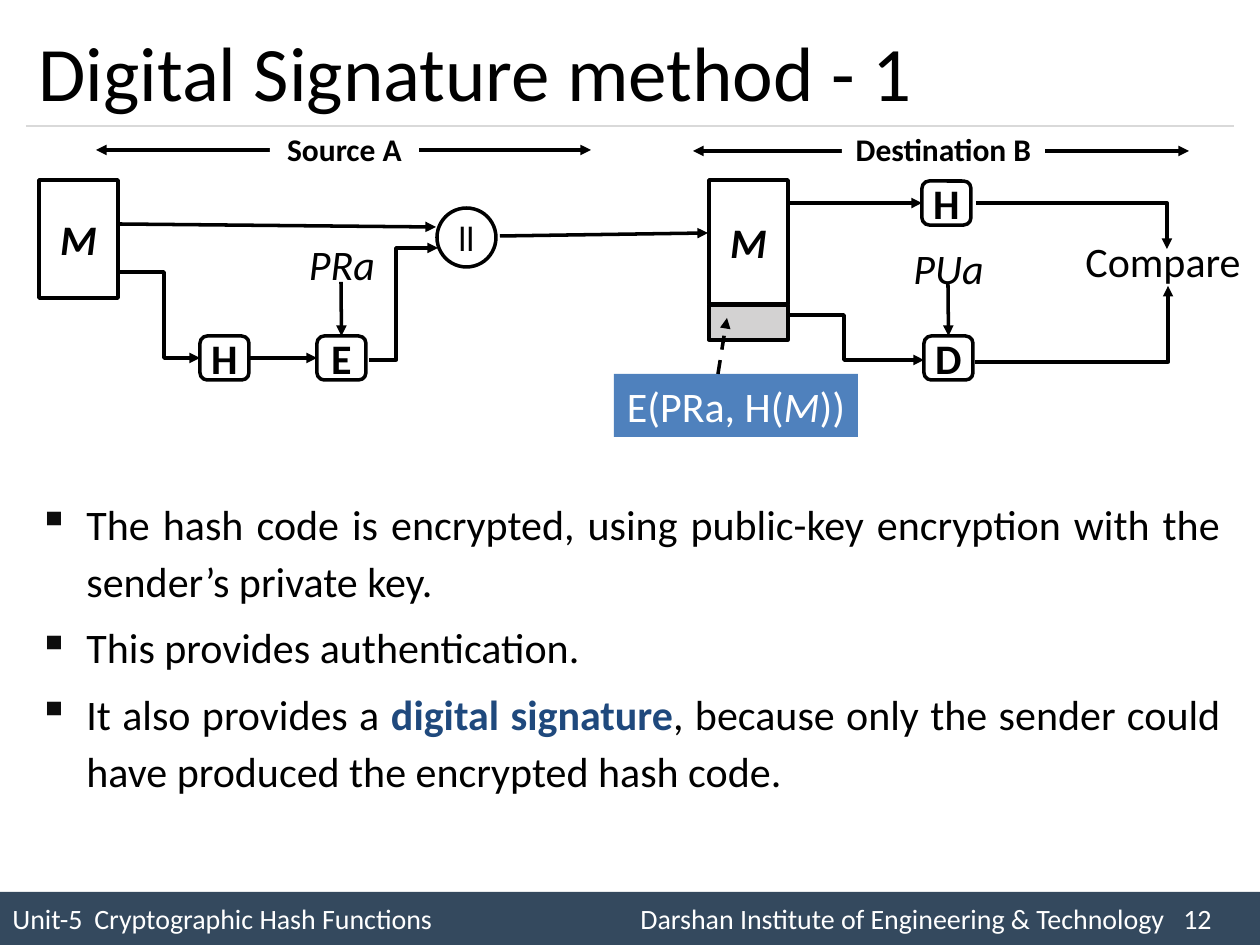
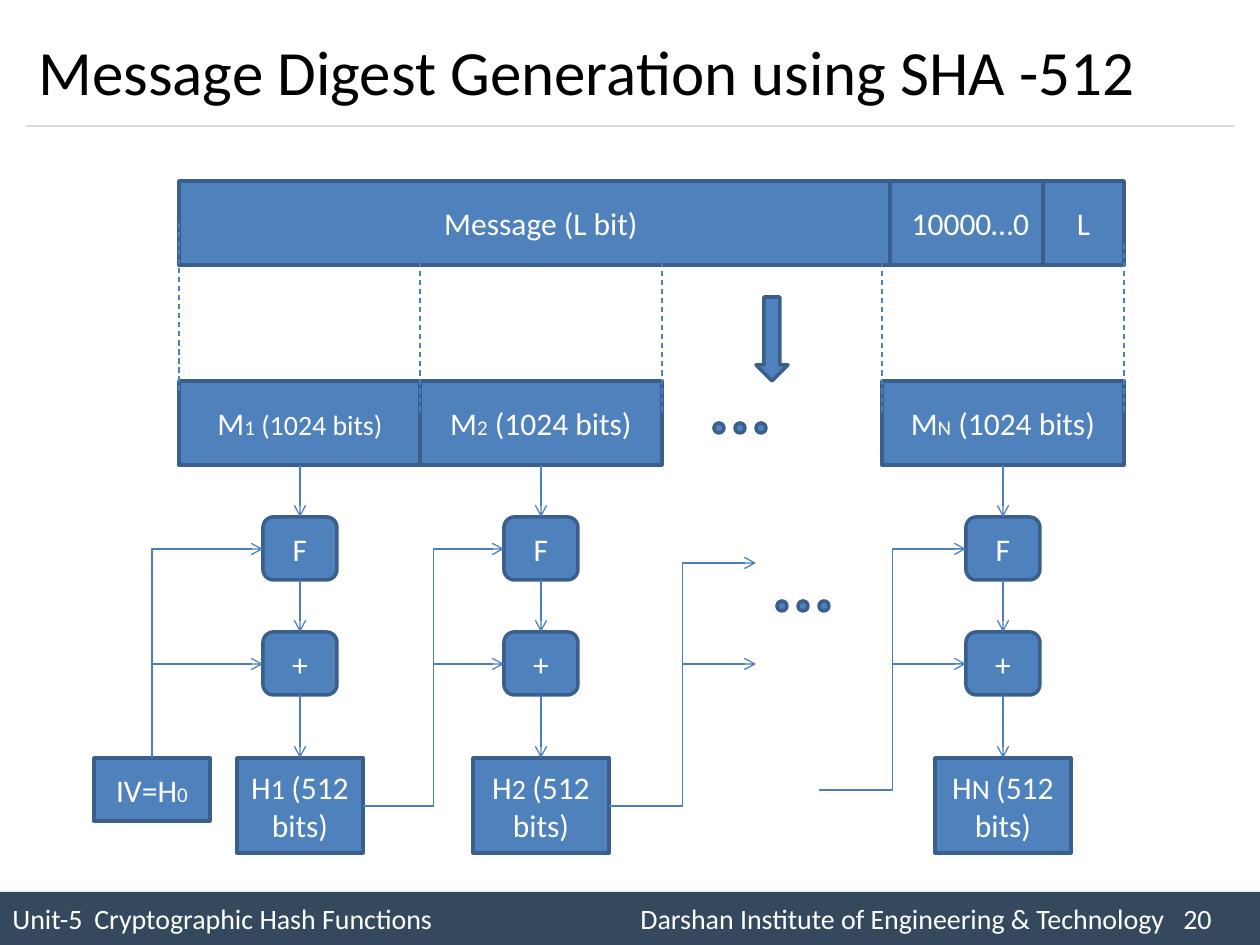
import pptx
import pptx.dml.color
import pptx.enum.dml
import pptx.enum.shapes
import pptx.enum.text
import pptx.oxml.ns
import pptx.util
from lxml import etree

RGB = pptx.dml.color.RGBColor
BLACK = RGB(0x00, 0x00, 0x00)
WHITE = RGB(0xFF, 0xFF, 0xFF)
GREY = RGB(0xD3, 0xD2, 0xD2)
RULE = RGB(0xD9, 0xD9, 0xD9)
BAND = RGB(0x34, 0x49, 0x5E)
BLUE = RGB(0x4F, 0x81, 0xBD)
BLUE_EDGE = RGB(0x3A, 0x5F, 0x8C)
BLUE_LINK = RGB(0x4B, 0x7E, 0xBC)
NAVY = RGB(0x1F, 0x49, 0x7D)

PX = 914400 / 126
FONT = "Calibri"
SHAPE = pptx.enum.shapes.MSO_SHAPE
CONNECTOR = pptx.enum.shapes.MSO_CONNECTOR
ALIGN = pptx.enum.text.PP_ALIGN
ANCHOR = pptx.enum.text.MSO_ANCHOR
qn = pptx.oxml.ns.qn


def box(slide, preset, place, runs=(), fill=None, edge=None, color=BLACK,
        align=ALIGN.CENTER, anchor=ANCHOR.MIDDLE, wrap=False):
    """Add a shape, or a text box if preset is None; runs are (text, size, style)."""
    emu = [round(n * PX) for n in place]
    if preset is None:
        shape = slide.shapes.add_textbox(*emu)
    else:
        shape = slide.shapes.add_shape(preset, *emu)
        shape.shadow.inherit = False
        shape.fill.solid()
        shape.fill.fore_color.rgb = fill
        if edge is None:
            shape.line.fill.background()
        else:
            shape.line.color.rgb = edge
            shape.line.width = pptx.util.Pt(2)
    frame = shape.text_frame
    frame.word_wrap = wrap
    frame.vertical_anchor = anchor
    frame.paragraphs[0].alignment = align
    for text, size, style in runs:
        run = frame.paragraphs[0].add_run()
        run.text = text
        run.font.name = FONT
        run.font.size = pptx.util.Pt(size)
        run.font.bold = "b" in style
        run.font.italic = "i" in style
        run.font.color.rgb = color
    return shape


def link(slide, points, color=BLACK, width=2, head=None, tail="triangle",
         dashed=False, kind=CONNECTOR.STRAIGHT, start=None, end=None):
    """Draw a connector through two points or an open path through more."""
    emu = [(round(x * PX), round(y * PX)) for x, y in points]
    if len(emu) == 2:
        line = slide.shapes.add_connector(kind, *emu[0], *emu[1])
        if start:
            line.begin_connect(*start)
        if end:
            line.end_connect(*end)
    else:
        outline = slide.shapes.build_freeform(*emu[0], scale=1.0)
        outline.add_line_segments(emu[1:], close=False)
        line = outline.convert_to_shape()
        line.fill.background()
    line.line.color.rgb = color
    line.line.width = pptx.util.Pt(width)
    if dashed:
        line.line.dash_style = pptx.enum.dml.MSO_LINE.DASH
    properties = line._element.spPr
    for tag, arrow in (("a:headEnd", head), ("a:tailEnd", tail)):
        if arrow:
            etree.SubElement(properties.find(qn("a:ln")), qn(tag), type=arrow)
    etree.SubElement(properties, qn("a:effectLst"))
    return line


deck = pptx.Presentation()
deck.slide_width = pptx.util.Inches(10)
deck.slide_height = pptx.util.Inches(7.5)

# Shared footer band, title and rule
slides = []
for title, title_size, number in (
        ("Digital Signature method - 1", 44, 12),
        ("Message Digest Generation using SHA -512", 36, 20)):
    slide = deck.slides.add_slide(deck.slide_layouts[6])
    slides.append(slide)
    footer_text = ("Unit-5\tCryptographic Hash Functions\t"
                   f"Darshan Institute of Engineering & Technology\t{number}")
    footer = box(slide, SHAPE.RECTANGLE, (0, 892, 1260, 53), [(footer_text, 16, "")],
                 BAND, color=WHITE, align=ALIGN.LEFT)
    tabs = etree.SubElement(footer.text_frame.paragraphs[0]._p.get_or_add_pPr(),
                            qn("a:tabLst"))
    for stop in (82, 628, 1171):
        etree.SubElement(tabs, qn("a:tab"), pos=str(round(stop * PX)), algn="l")
    link(slide, [(26, 126), (1234, 126)], RULE, 0.75, tail=None)
    box(slide, None, (26, 15, 1207, 111), [(title, title_size, "")],
        align=ALIGN.LEFT, wrap=True)
signature, digest = slides

# Slide 1: explanation
body = box(signature, None, (26, 485, 1207, 349), anchor=ANCHOR.TOP, wrap=True)
points = (
    [("The hash code is encrypted, using public-key encryption with the "
      "sender’s private key.", False)],
    [("This provides authentication.", False)],
    [("It also provides a ", False), ("digital signature", True),
     (", because only the sender could have produced the encrypted hash code.", False)],
)
for index, pieces in enumerate(points):
    paragraph = body.text_frame.add_paragraph() if index else body.text_frame.paragraphs[0]
    paragraph.alignment = ALIGN.JUSTIFY
    paragraph.line_spacing = 1.14
    if index:
        paragraph.space_before = pptx.util.Pt(5)
    layout = paragraph._p.get_or_add_pPr()
    layout.set("marL", str(round(48 * PX)))
    layout.set("indent", str(round(-48 * PX)))
    bullet_color = etree.SubElement(layout, qn("a:buClr"))
    etree.SubElement(bullet_color, qn("a:srgbClr"), val="0D0D0D")
    etree.SubElement(layout, qn("a:buChar"), char="▪")
    for text, key_term in pieces:
        run = paragraph.add_run()
        run.text = text
        run.font.name = FONT
        run.font.size = pptx.util.Pt(24)
        run.font.bold = key_term
        run.font.color.rgb = NAVY if key_term else BLACK

# Slide 1: source and destination spans
for name, label_place, left, right, y in (
        ("Source A", (270, 132, 149, 34), 96, 591, 150),
        ("Destination B", (842, 130, 203, 38), 693, 1189, 151)):
    link(signature, [(left, y), (right, y)], head="triangle")
    box(signature, SHAPE.RECTANGLE, label_place, [(name, 18, "b")], WHITE)

# Slide 1: messages, operations and keys
for place in ((39, 180, 79, 118), (709, 180, 79, 124)):
    box(signature, SHAPE.RECTANGLE, place, [("M", 24, "bi")], WHITE, BLACK)
signed_hash = box(signature, SHAPE.RECTANGLE, (709, 305, 79, 35), fill=GREY, edge=BLACK)
hash_a, encrypt, hash_b, decrypt = [
    box(signature, SHAPE.ROUNDED_RECTANGLE, (x, y, 49, 44), [(letter, 24, "b")], WHITE, BLACK)
    for letter, x, y in (("H", 200, 336), ("E", 317, 336), ("H", 922, 181), ("D", 924, 336))]
box(signature, SHAPE.OVAL, (437, 208, 59, 59), [("ll", 20, "")], WHITE, BLACK)
for text, style, place, align in (
        ("PRa", "i", (294, 232, 96, 63), ALIGN.CENTER),
        ("PUa", "i", (901, 236, 105, 63), ALIGN.LEFT),
        ("Compare", "", (1071, 229, 184, 63), ALIGN.CENTER)):
    box(signature, None, place, [(text, 24, style)], align=align, anchor=ANCHOR.TOP)
box(signature, SHAPE.RECTANGLE, (614, 374, 244, 63),
    [("E(PRa, H(", 24, ""), ("M", 24, "i"), ("))", 24, "")],
    BLUE, color=WHITE, anchor=ANCHOR.TOP)

# Slide 1: flow
for route in (
        [(118, 272), (164, 272), (164, 358), (200, 358)],
        [(118, 224), (436, 227)],
        [(369, 360), (396, 360), (396, 248), (438, 248)],
        [(500, 236), (708, 233)],
        [(789, 315), (844, 315), (844, 360), (924, 360)],
        [(975, 362), (1168, 362), (1168, 286)],
        [(976, 203), (1167, 203), (1167, 249)]):
    link(signature, route)
link(signature, [(249, 358), (317, 358)], start=(hash_a, 3), end=(encrypt, 1))
link(signature, [(341, 282), (341, 336)], end=(encrypt, 0))
link(signature, [(948, 284), (948, 336)], end=(decrypt, 0))
link(signature, [(789, 203), (922, 203)], end=(hash_b, 1))
link(signature, [(718, 374), (727, 318)], dashed=True)

# Slide 2: padded message
for text, x, width in (("Message (L bit)", 179, 724), ("10000…0", 890, 161), ("L", 1043, 81)):
    box(digest, SHAPE.RECTANGLE, (x, 181, width, 84), [(text, 18, "")],
        BLUE, BLUE_EDGE, WHITE)

# Slide 2: one column per block, from message block down to hash
for index, x, hash_width, bits_size in (("1", 179, 126, 16), ("2", 420, 136, 18),
                                        ("N", 882, 136, 18)):
    center = x + 121
    column = [
        box(digest, preset, (center - width // 2, y, width, height), runs,
            BLUE, BLUE_EDGE, WHITE, wrap=y == 758)
        for preset, y, width, height, runs in (
            (SHAPE.RECTANGLE, 381, 242, 84,
             [("M", 18, ""), (index, 12, ""), (" (1024 bits)", bits_size, "")]),
            (SHAPE.ROUNDED_RECTANGLE, 517, 74, 63, [("F", 18, "")]),
            (SHAPE.ROUNDED_RECTANGLE, 632, 74, 63, [("+", 18, "")]),
            (SHAPE.RECTANGLE, 758, hash_width, 95,
             [("H", 18, ""), (index + " ", 16, ""), ("(512 bits)", 18, "")]))]
    for upper, lower in zip(column, column[1:]):
        link(digest, [(center, 465), (center, 517)], BLUE_LINK, 0.75, tail="arrow",
             start=(upper, 2), end=(lower, 0))

# Slide 2: initial value feeding the first column
box(digest, SHAPE.RECTANGLE, (94, 758, 116, 63), [("IV=H", 18, ""), ("0", 12, "")],
    BLUE, BLUE_EDGE, WHITE)
for y in (549, 664):
    feed = link(digest, [(263, y), (152, 758)], BLUE_LINK, 0.75, head="arrow", tail=None,
                kind=CONNECTOR.ELBOW)
    feed._element.spPr.find(qn("a:prstGeom")).set("prst", "bentConnector2")

# Slide 2: each hash feeding the next column
for hash_side, next_side, function_y in (((363, 806), 504, 549), ((609, 806), 756, 563),
                                         ((819, 790), 966, 549)):
    for y in (function_y, 664):
        link(digest, [hash_side, (next_side, y)], BLUE_LINK, 0.75, tail="arrow",
             kind=CONNECTOR.ELBOW)

# Slide 2: block boundaries, split arrow and ellipses
for x, top in ((179, 223), (420, 244), (662, 244), (882, 244), (1124, 244)):
    link(digest, [(x, top), (x, top + 168)], BLUE_LINK, 0.75, tail=None, dashed=True)
box(digest, SHAPE.DOWN_ARROW, (756, 297, 32, 84), fill=BLUE, edge=BLUE_EDGE)
for left, y in ((714, 423), (777, 601)):
    for step in range(3):
        box(digest, SHAPE.FLOWCHART_CONNECTOR, (left + 21 * step, y, 10, 10),
            fill=BLUE, edge=BLUE_EDGE)

deck.save("out.pptx")
